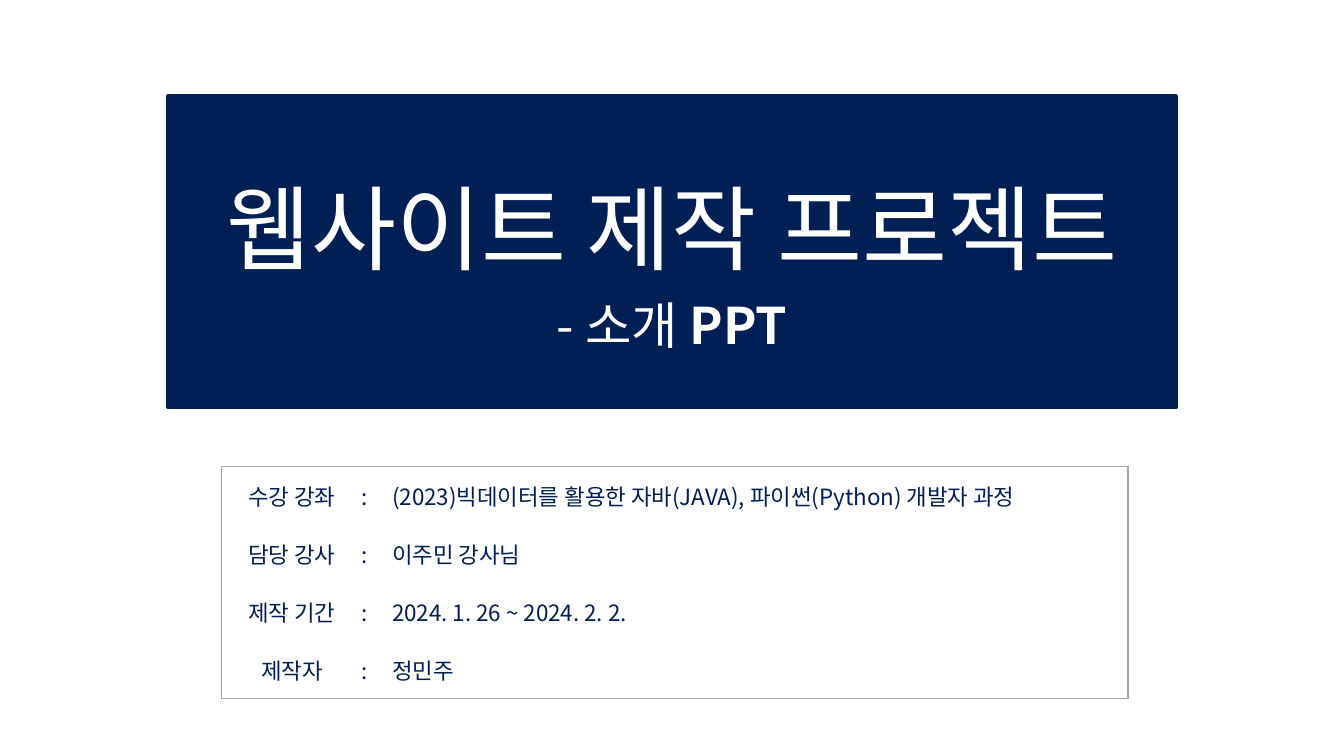
from dataclasses import dataclass

import pptx
import pptx.dml.color
import pptx.enum.shapes
import pptx.enum.text
import pptx.oxml
import pptx.oxml.ns
import pptx.presentation
import pptx.slide
import pptx.table
import pptx.text.text
import pptx.util
from lxml import etree

Pt = pptx.util.Pt
RGBColor = pptx.dml.color.RGBColor
Align = pptx.enum.text.PP_ALIGN
qn = pptx.oxml.ns.qn

NAVY = RGBColor(0x00, 0x1F, 0x54)
WHITE = RGBColor(0xFF, 0xFF, 0xFF)
GRAY = RGBColor(0xA6, 0xA6, 0xA6)
TITLE_FONT = "Noto Sans CJK JP"
TABLE_FONT = "Noto Sans CJK KR"


@dataclass(frozen=True)
class Detail:
    label: str
    value: str


@dataclass(frozen=True)
class Column:
    width: float
    margin_left: float
    margin_right: float
    alignment: Align


DETAILS = [
    Detail("수강 강좌", "(2023)빅데이터를 활용한 자바(JAVA), 파이썬(Python) 개발자 과정"),
    Detail("담당 강사", "이주민 강사님"),
    Detail("제작 기간", "2024. 1. 26 ~ 2024. 2. 2."),
    Detail("제작자", "정민주"),
]
COLUMNS = [
    Column(92.9, 14.4, 7.2, Align.CENTER),
    Column(18, 0, 0, Align.CENTER),
    Column(536.4, 10.8, 7.2, Align.JUSTIFY),
]
ROW_HEIGHT = 41.4


def format_run(run: pptx.text.text._Run, font_name: str, size: float,
               color: RGBColor, bold: bool = False) -> None:
    run.font.name = font_name
    run.font.size = Pt(size)
    run.font.color.rgb = color
    run.font.bold = bold
    east_asian = etree.SubElement(run.font._element, qn("a:ea"))
    east_asian.set("typeface", font_name)


def add_title(slide: pptx.slide.Slide) -> None:
    banner = slide.shapes.add_shape(pptx.enum.shapes.MSO_SHAPE.RECTANGLE,
                                    Pt(120), Pt(69), Pt(720), Pt(222))
    banner.shadow.inherit = False
    banner.fill.solid()
    banner.fill.fore_color.rgb = NAVY
    banner.line.color.rgb = NAVY
    banner.line.width = Pt(3)
    frame = banner.text_frame
    frame.word_wrap = True
    frame.vertical_anchor = pptx.enum.text.MSO_ANCHOR.MIDDLE
    frame.text = "웹사이트 제작 프로젝트\n- 소개 "
    title, subtitle = frame.paragraphs
    subtitle.add_run().text = "PPT"
    for paragraph in (title, subtitle):
        paragraph.alignment = Align.CENTER
        paragraph.line_spacing = 1.2
    format_run(title.runs[0], TITLE_FONT, 66, WHITE)
    format_run(subtitle.runs[0], TITLE_FONT, 36, WHITE)
    format_run(subtitle.runs[1], TITLE_FONT, 36, WHITE, bold=True)


def set_borders(cell: pptx.table._Cell, visible: dict[str, bool]) -> None:
    """Draw the visible sides in gray and clear the others."""
    properties = cell._tc.get_or_add_tcPr()
    for side, shown in visible.items():
        line = etree.SubElement(properties, qn(f"a:ln{side}"), w=str(Pt(1)))
        if shown:
            fill = etree.SubElement(line, qn("a:solidFill"))
            etree.SubElement(fill, qn("a:srgbClr"), val=str(GRAY))
        else:
            etree.SubElement(line, qn("a:noFill"))


def fill_cell(cell: pptx.table._Cell, text: str, column: Column) -> None:
    cell.fill.solid()
    cell.fill.fore_color.rgb = WHITE
    color = cell._tc.tcPr.find(".//" + qn("a:solidFill") + "[last()]")
    color = cell._tc.tcPr.findall(qn("a:solidFill"))[0][0]
    etree.SubElement(color, qn("a:alpha"), val="10000")
    cell.vertical_anchor = pptx.enum.text.MSO_ANCHOR.MIDDLE
    cell.margin_left = Pt(column.margin_left)
    cell.margin_right = Pt(column.margin_right)
    cell.text_frame.text = text
    paragraph = cell.text_frame.paragraphs[0]
    paragraph.alignment = column.alignment
    format_run(paragraph.runs[0], TABLE_FONT, 16, NAVY)


def add_details(slide: pptx.slide.Slide) -> None:
    width = sum(column.width for column in COLUMNS)
    table = slide.shapes.add_table(
        len(DETAILS), len(COLUMNS), Pt(158.4), Pt(333.4),
        Pt(width), Pt(ROW_HEIGHT * len(DETAILS))).table
    table.first_row = False
    table.horz_banding = False
    for index, column in enumerate(COLUMNS):
        table.columns[index].width = Pt(column.width)
    last_row, last_column = len(DETAILS) - 1, len(COLUMNS) - 1
    for row, detail in enumerate(DETAILS):
        table.rows[row].height = Pt(ROW_HEIGHT)
        texts = (detail.label, ":", detail.value)
        for index, (text, column) in enumerate(zip(texts, COLUMNS)):
            cell = table.cell(row, index)
            set_borders(cell, {"L": index == 0, "R": index == last_column,
                               "T": row == 0, "B": row == last_row})
            fill_cell(cell, text, column)


def main() -> None:
    presentation = pptx.Presentation()
    presentation.slide_width = Pt(960)
    presentation.slide_height = Pt(540)
    slide = presentation.slides.add_slide(presentation.slide_layouts[6])
    add_title(slide)
    add_details(slide)
    presentation.save("out.pptx")


if __name__ == "__main__":
    main()
